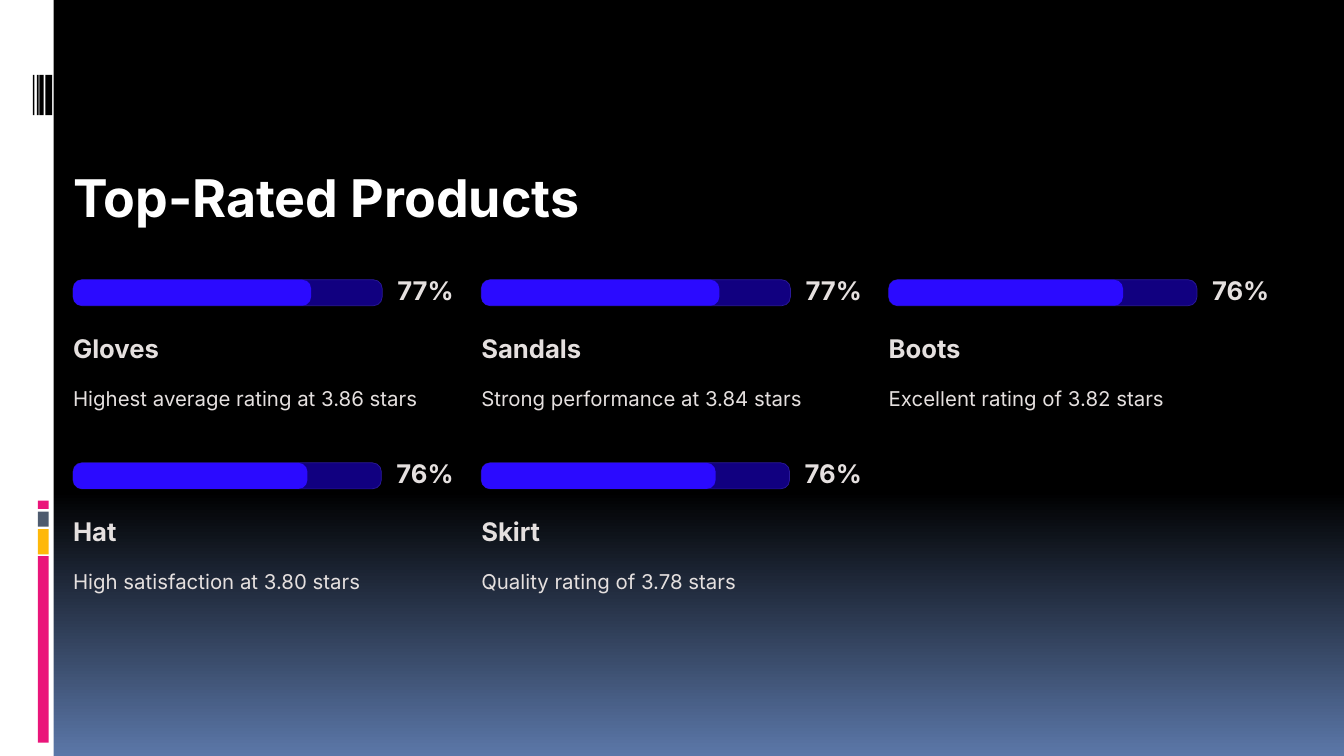
from copy import deepcopy

from pptx import Presentation
from pptx.dml.color import RGBColor
from pptx.enum.shapes import MSO_SHAPE
from pptx.enum.text import MSO_ANCHOR, MSO_AUTO_SIZE, PP_ALIGN
from pptx.oxml.ns import qn
from pptx.util import Inches, Pt

BLACK = RGBColor(0x00, 0x00, 0x00)
WHITE = RGBColor(0xFF, 0xFF, 0xFF)
SKY = RGBColor(0x5B, 0x77, 0xA8)
PINK = RGBColor(0xEA, 0x15, 0x7A)
AMBER = RGBColor(0xFE, 0xB8, 0x0A)
SLATE = RGBColor(0x4E, 0x5B, 0x6F)
TRACK = RGBColor(0x11, 0x00, 0x80)
TRACK_LINE = RGBColor(0x2A, 0x19, 0x99)
BAR = RGBColor(0x2B, 0x0A, 0xFF)
LIGHT = RGBColor(0xE5, 0xE0, 0xDF)

TITLE = "Top-Rated Products"
PRODUCTS = [
    ("Gloves", 77, "Highest average rating at 3.86 stars"),
    ("Sandals", 77, "Strong performance at 3.84 stars"),
    ("Boots", 76, "Excellent rating of 3.82 stars"),
    ("Hat", 76, "High satisfaction at 3.80 stars"),
    ("Skirt", 76, "Quality rating of 3.78 stars"),
]
GRADIENT = [(0, BLACK), (0.65, BLACK), (1, SKY)]
BLOCKS = [(6.62, 2.22, PINK), (6.3, 0.3, AMBER), (6.09, 0.18, SLATE), (5.96, 0.1, PINK)]
STRIPES = [(0.54, 0.08), (0.47, 0.05), (0.44, 0.02), (0.39, 0.02)]

COLUMNS = (0.87, 5.73, 10.58)
ROWS = (3.33, 5.51)
CELL_W, BAR_H, LABEL_GAP = 4.54, 0.31, 0.18
LABEL_W = {77: 0.68, 76: 0.69}

HEADING = {"size": Pt(44.5), "bold": True, "color": WHITE, "spacing": Pt(55.5)}
PERCENT = {"size": Pt(22), "bold": True, "color": LIGHT, "spacing": Pt(22)}
NAME = {"size": Pt(22), "bold": True, "color": LIGHT, "spacing": Pt(27.5)}
DETAIL = {"size": Pt(17.5), "bold": False, "color": LIGHT, "spacing": Pt(28.5)}


def place(sp, x, y, w, h):
    box = {"left": x, "top": y, "width": w, "height": h}
    for name, value in box.items():
        setattr(sp, name, Inches(value))


def add_block(s, x, y, w, h, color, kind=MSO_SHAPE.RECTANGLE):
    sp = s.shapes.add_shape(kind, Inches(x), Inches(y), Inches(w), Inches(h))
    sp.shadow.inherit = False
    sp.fill.solid()
    sp.fill.fore_color.rgb = color
    sp.line.fill.background()
    return sp


def add_bar(s, x, y, w, color):
    sp = add_block(s, x, y, w, BAR_H, color, MSO_SHAPE.ROUNDED_RECTANGLE)
    sp.adjustments[0] = 0.34
    return sp


def write(sp, text, style):
    tf = sp.text_frame
    frame = {"margin_left": 0, "margin_top": 0, "margin_right": 0, "margin_bottom": 0,
             "word_wrap": False, "auto_size": MSO_AUTO_SIZE.NONE,
             "vertical_anchor": MSO_ANCHOR.TOP}
    for name, value in frame.items():
        setattr(tf, name, value)
    p = tf.paragraphs[0]
    p.alignment = PP_ALIGN.LEFT
    p.line_spacing = style["spacing"]
    r = p.add_run()
    r.text = text
    for name, value in {"name": "Inter", "size": style["size"], "bold": style["bold"]}.items():
        setattr(r.font, name, value)
    r.font.color.rgb = style["color"]


def add_text(s, x, y, w, h, text, style):
    sp = s.shapes.add_textbox(Inches(x), Inches(y), Inches(w), Inches(h))
    write(sp, text, style)


def paint_background(s):
    fill = s.background.fill
    fill.gradient()
    fill.gradient_angle = 270
    stops = s.element.find(".//" + qn("a:gsLst"))
    stops.append(deepcopy(stops[-1]))
    for stop, (position, color) in zip(fill.gradient_stops, GRADIENT):
        stop.position = position
        stop.color.rgb = color


def add_product(s, x, y, name, percent, detail):
    label_w = LABEL_W[percent]
    track_w = CELL_W - LABEL_GAP - label_w
    track = add_bar(s, x, y, track_w, TRACK)
    track.line.color.rgb = TRACK_LINE
    track.line.width = Pt(0.6)
    add_bar(s, x, y, track_w * percent / 100, BAR)
    add_text(s, x + CELL_W - label_w, y, label_w, BAR_H, f"{percent}%", PERCENT)
    add_text(s, x, y + 0.62, 3.1, 0.39, name, NAME)
    add_text(s, x, y + 1.16, 4.55, 0.4, detail, DETAIL)


def main():
    """Build the top-rated products slide."""
    prs = Presentation()
    prs.slide_width, prs.slide_height = Inches(16), Inches(9)
    s = prs.slides.add_slide(prs.slide_layouts[5])
    paint_background(s)

    add_block(s, 0, 0, 0.64, 9, WHITE)
    for y, h, color in BLOCKS:
        add_block(s, 0.45, y, 0.13, h, color)
    for x, w in STRIPES:
        add_block(s, x, 0.89, w, 0.48, BLACK)

    place(s.shapes.title, COLUMNS[0], 1.94, 6.2, 0.78)
    write(s.shapes.title, TITLE, HEADING)

    for i, product in enumerate(PRODUCTS):
        row, col = divmod(i, len(COLUMNS))
        add_product(s, COLUMNS[col], ROWS[row], *product)

    prs.save("out.pptx")


if __name__ == "__main__":
    main()
